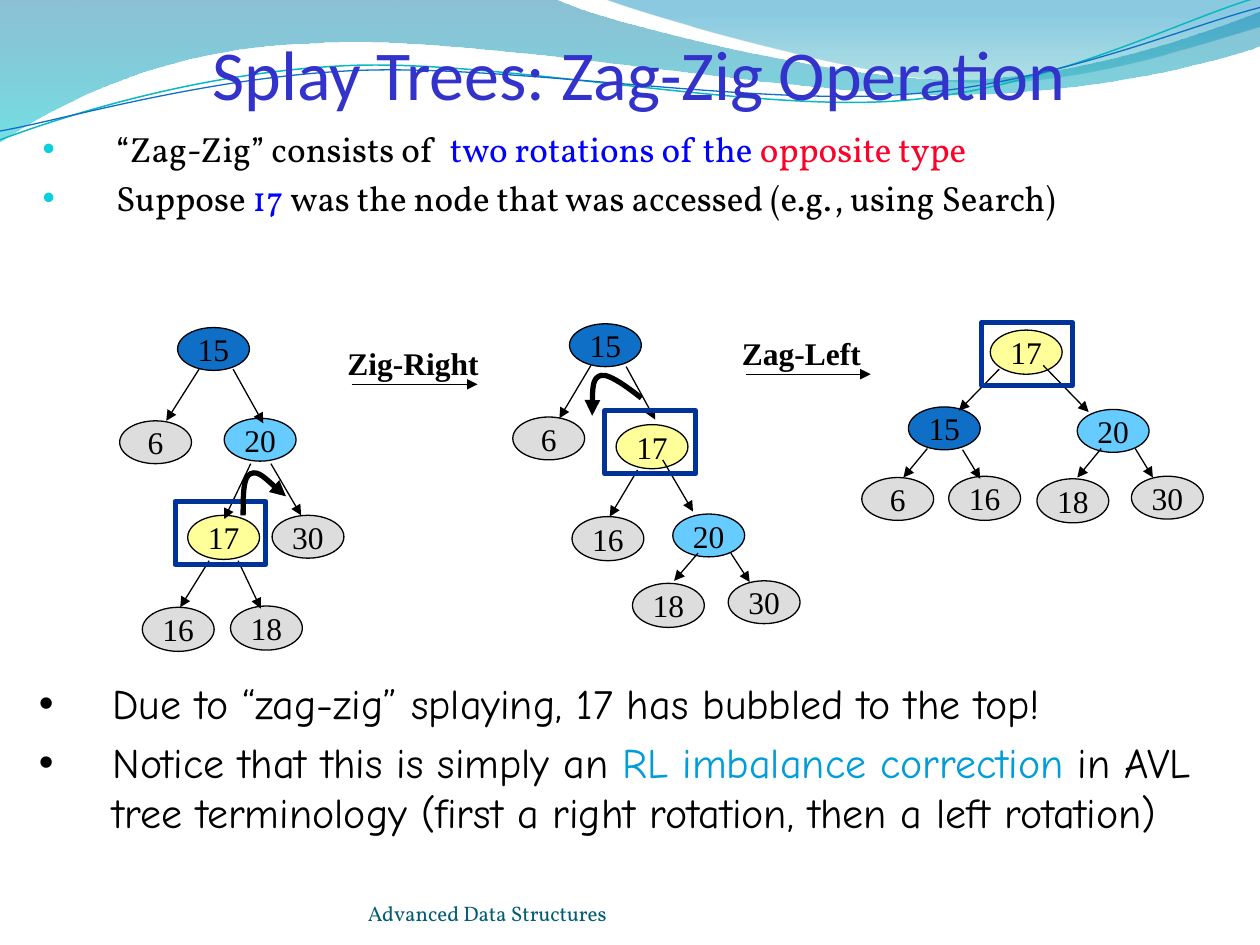
from math import cos, radians, sin

from lxml.etree import SubElement
from pptx import Presentation
from pptx.dml.color import RGBColor
from pptx.enum.shapes import MSO_CONNECTOR, MSO_SHAPE
from pptx.enum.text import MSO_ANCHOR, PP_ALIGN
from pptx.oxml.ns import qn
from pptx.util import Inches, Pt

NODE_FILLS = {15: "0F6FC6", 17: "FFFF99", 20: "66CCFF"}
TALL_NODES = (16, 17, 18)

WAVES = [
    ([[(0, 0)], [(4.4, -0.01)],
      [(4.76, 0.17), (6.64, 0.63), (7.58, 0.63)],
      [(8.53, 0.63), (9.58, 0.26), (10, 0.09)],
      [(10.01, 0.36)],
      [(9.83, 0.44), (8.7, 0.76), (7.46, 0.75)],
      [(6.22, 0.75), (3.82, 0.28), (2.57, 0.34)],
      [(1.29, 0.36), (0.46, 0.83), (-0.01, 1.13)]],
     [(0, "0074A1", 45), (1, "00C6CF", 55)], 270),
    ([[(4.79, -0.01)],
      [(5.09, 0.11), (6.82, 0.62), (7.69, 0.65)],
      [(8.56, 0.69), (9.61, 0.32), (10, 0.21)],
      [(10, 0)]],
     [(0, "00A1A9", 30), (0.8, "008BBF", 45)], 90),
]

RIBBONS = [
    ([[(0, 1.11)],
      [(0.48, 0.93), (1.58, 0.57), (2.77, 0.52)],
      [(3.95, 0.47), (5.93, 0.89), (7.13, 0.8)],
      [(8.33, 0.71), (9.38, 0.15), (9.98, -0.02)]], (4.99, 0.58), "0AB8BF", 0.85),
    ([[(0, 1.04)],
      [(0.47, 0.96), (1.64, 0.61), (2.83, 0.56)],
      [(4.03, 0.51), (5.97, 0.84), (7.17, 0.75)],
      [(8.36, 0.67), (9.41, 0.21), (10, 0.06)]], (5, 0.59), "0F6FC6", 0.75),
]

TREES = [
    {"nodes": [(15, 1.41, 2.6), (6, 0.95, 3.34), (20, 1.78, 3.32), (30, 2.16, 4.09),
               (17, 1.49, 4.09), (16, 1.13, 4.82), (18, 1.83, 4.81)],
     "edges": [(1.58, 2.93, 1.32, 3.34), (1.85, 2.93, 2.09, 3.36),
               (2.15, 3.68, 2.39, 4.09), (1.99, 3.68, 1.78, 4.12),
               (1.66, 4.45, 1.43, 4.82), (1.89, 4.45, 2.07, 4.83)],
     "frame": (1.39, 3.98),
     "turn": [[(1.93, 4.09)], [(1.93, 3.93), (1.93, 3.78), (1.99, 3.76)],
              [(2.05, 3.73), (2.22, 3.9), (2.27, 3.94)]],
     "turn_end": "tailEnd"},
    {"nodes": [(15, 4.52, 2.57), (6, 4.07, 3.31), (20, 5.34, 4.08), (30, 5.78, 4.61),
               (17, 4.89, 3.37), (16, 4.54, 4.1), (18, 5.02, 4.63)],
     "edges": [(4.69, 2.9, 4.44, 3.32), (4.97, 2.91, 5.2, 3.33),
               (5.06, 3.73, 4.84, 4.1), (5.26, 3.65, 5.5, 4.06),
               (5.54, 4.39, 5.35, 4.61), (5.8, 4.39, 5.95, 4.62)],
     "frame": (4.8, 3.26),
     "turn": [[(4.7, 3.3)], [(4.7, 3.15), (4.7, 3), (4.77, 2.98)],
              [(4.84, 2.96), (5.04, 3.12), (5.09, 3.16)]],
     "turn_end": "headEnd"},
    {"nodes": [(15, 7.21, 3.23), (6, 6.84, 3.79), (20, 8.55, 3.25), (30, 8.98, 3.78),
               (17, 7.86, 2.62), (16, 7.53, 3.78), (18, 8.23, 3.8)],
     "edges": [(7.93, 2.93, 7.61, 3.26), (8.28, 2.9, 8.64, 3.27),
               (7.36, 3.56, 7.17, 3.79), (7.64, 3.57, 7.78, 3.8),
               (8.74, 3.56, 8.55, 3.79), (9.01, 3.56, 9.15, 3.79)],
     "frame": (7.79, 2.56)},
]

STEPS = [("Zig-Right", 2.66, 2.68, 1.24, (2.79, 3.05, 3.79, 3.05)),
         ("Zag-Left", 5.79, 2.6, 1.15, (5.92, 2.97, 6.91, 2.97))]


def color(code):
    return RGBColor.from_string(code)


def add_bullet(para, bullet_color):
    properties = para._p.get_or_add_pPr()
    properties.set("marL", str(Pt(42)))
    properties.set("indent", str(Pt(-42)))
    bullet = SubElement(properties, qn("a:buClr"))
    SubElement(bullet, qn("a:srgbClr"), val=bullet_color)
    SubElement(properties, qn("a:buFont"), typeface="Arial")
    SubElement(properties, qn("a:buChar"), char="•")


def write(frame, paragraphs, font="Times New Roman", size=18, bold=False,
          align=PP_ALIGN.LEFT, anchor=MSO_ANCHOR.TOP, wrap=True, margins=None, bullet=None):
    frame.word_wrap = wrap
    frame.vertical_anchor = anchor
    if margins:
        (frame.margin_left, frame.margin_top,
         frame.margin_right, frame.margin_bottom) = map(Inches, margins)
    for index, spans in enumerate(paragraphs):
        para = frame.add_paragraph() if index else frame.paragraphs[0]
        para.alignment = align
        if bullet:
            add_bullet(para, bullet)
        para.space_before = Pt(size * 0.2 if index else 0)
        for text, text_color in spans:
            span = para.add_run()
            span.text = text
            span.font.name = font
            span.font.size = Pt(size)
            span.font.bold = bold
            span.font.color.rgb = color(text_color)


def turn_point(point, center, degrees):
    across, down = point[0] - center[0], point[1] - center[1]
    cosine, sine = cos(radians(degrees)), sin(radians(degrees))
    return (center[0] + across * cosine - down * sine,
            center[1] + across * sine + down * cosine)


class SlideBuilder:
    black = "000000"
    thin = 0.75
    thick = 3
    ribbon_tilt = 2.7

    def __init__(self, slide):
        self.shapes = slide.shapes

    def outline(self, shape, line_color, width, arrow=None):
        shape.line.color.rgb = color(line_color)
        shape.line.width = Pt(width)
        if arrow:
            SubElement(shape.line._get_or_add_ln(), qn(f"a:{arrow}"), type="triangle")

    def curved_path(self, segments, close=False):
        corners = [(Inches(x), Inches(y)) for segment in segments for x, y in segment]
        builder = self.shapes.build_freeform(*corners[0])
        builder.add_line_segments(corners[1:], close=close)
        shape = builder.convert_to_shape()
        shape.shadow.inherit = False
        steps = shape._element.spPr.findall(".//" + qn("a:lnTo"))
        first = 0
        for segment in segments[1:]:
            group = steps[first:first + len(segment)]
            first += len(segment)
            if len(group) == 3:
                group[0].tag = qn("a:cubicBezTo")
                for step in group[1:]:
                    group[0].append(step[0])
                    step.getparent().remove(step)
        return shape

    def wave(self, segments, stops, angle):
        shape = self.curved_path(segments, close=True)
        shape.fill.gradient()
        shape.fill.gradient_angle = angle
        for stop, (position, code, opacity) in zip(shape.fill.gradient_stops, stops):
            stop.position = position
            stop.color.rgb = color(code)
        for element, (_, _, opacity) in zip(shape._element.spPr.iter(qn("a:srgbClr")), stops):
            SubElement(element, qn("a:alpha"), val=str(opacity * 1000))
        shape.line.fill.background()

    def stroke(self, segments, line_color, width, arrow=None):
        shape = self.curved_path(segments)
        shape.fill.background()
        self.outline(shape, line_color, width, arrow)
        return shape

    def ribbon(self, segments, center, line_color, width):
        level = [[turn_point(point, center, self.ribbon_tilt) for point in segment]
                 for segment in segments]
        self.stroke(level, line_color, width).rotation = -self.ribbon_tilt

    def title(self, text, left, top, width, height):
        box = self.shapes.title
        box.left, box.top, box.width, box.height = map(Inches, (left, top, width, height))
        self.shapes._spTree.append(box._element)
        write(box.text_frame, [[(text, "3333CC")]], font="Calibri", size=40,
              align=PP_ALIGN.CENTER, anchor=MSO_ANCHOR.BOTTOM, margins=(0, 0.05, 0, 0))

    def text(self, paragraphs, left, top, width, height, **style):
        box = self.shapes.add_textbox(*map(Inches, (left, top, width, height)))
        write(box.text_frame, paragraphs, **style)

    def node(self, value, left, top):
        height = 0.35 if value in TALL_NODES else 0.34
        shape = self.shapes.add_shape(MSO_SHAPE.OVAL, *map(Inches, (left, top, 0.57, height)))
        shape.shadow.inherit = False
        shape.fill.solid()
        shape.fill.fore_color.rgb = color(NODE_FILLS.get(value, "DDDDDD"))
        self.outline(shape, self.black, self.thin)
        write(shape.text_frame, [[(str(value), self.black)]], align=PP_ALIGN.CENTER,
              anchor=MSO_ANCHOR.MIDDLE, wrap=False)

    def frame(self, left, top):
        shape = self.shapes.add_shape(MSO_SHAPE.RECTANGLE, *map(Inches, (left, top, 0.72, 0.5)))
        shape.shadow.inherit = False
        shape.fill.background()
        self.outline(shape, "003399", self.thick)

    def arrow(self, ends):
        line = self.shapes.add_connector(MSO_CONNECTOR.STRAIGHT, *map(Inches, ends))
        self.outline(line, self.black, self.thin, "tailEnd")
        SubElement(line._element.spPr, qn("a:effectLst"))

    def tree(self, nodes, edges, frame, turn=None, turn_end=None):
        for node in nodes:
            self.node(*node)
        for edge in edges:
            self.arrow(edge)
        self.frame(*frame)
        if turn:
            self.stroke(turn, self.black, self.thick, turn_end)


deck = Presentation()
deck.slide_width, deck.slide_height = Inches(10), Inches(7.5)
page = SlideBuilder(deck.slides.add_slide(deck.slide_layouts[5]))
black = page.black
for wave in WAVES:
    page.wave(*wave)
for ribbon in RIBBONS:
    page.ribbon(*ribbon)
page.title("Splay Trees: Zag-Zig Operation", 0.3, 0.15, 9.54, 0.76)
page.text([[("“Zag-Zig” consists of  ", black), ("two rotations of the ", "0000FF"),
            ("opposite type", "FD0128")],
           [("Suppose ", black), ("17 ", "0000FF"),
            ("was the node that was accessed (e.g., using Search)", black)]],
          0.24, 0.96, 9.37, 1.19, font="Vollkorn", size=20, bullet="0BD0D9")
page.text([[("Due to “zag-zig” splaying, 17 has bubbled to the top!", black)],
           [("Notice that this is simply an ", black), ("RL imbalance correction", "009DD9"),
            (" in AVL tree terminology (first a right rotation, then a left rotation)", black)]],
          0.21, 5.33, 9.45, 1.52, font="Comic Neue", size=24, bullet=black)
for tree in TREES:
    page.tree(**tree)
for label, left, top, width, ends in STEPS:
    page.arrow(ends)
    page.text([[(label, black)]], left, top, width, 0.4, bold=True, wrap=False)
page.text([[("Advanced Data Structures", "045D75")]], 2.92, 6.95, 3.67, 0.4,
          font="Vollkorn", size=12, anchor=MSO_ANCHOR.BOTTOM, margins=(0, 0, 0, 0))
deck.save("out.pptx")
